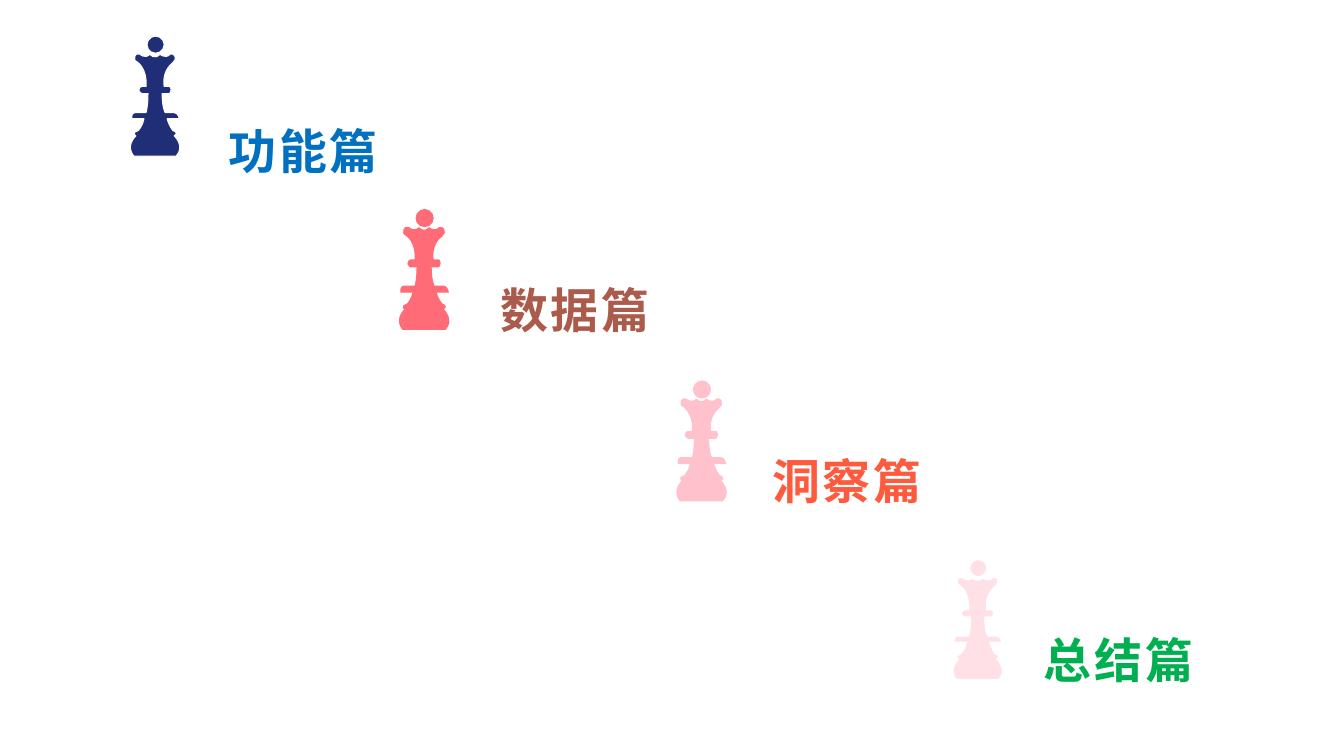
import pptx
import pptx.dml.color
import pptx.enum.shapes
import pptx.enum.text
import pptx.oxml.ns
import pptx.util
from lxml import etree

Cm = pptx.util.Cm
RGBColor = pptx.dml.color.RGBColor
qn = pptx.oxml.ns.qn

WHITE = RGBColor(0xFF, 0xFF, 0xFF)
NAVY = RGBColor(0x20, 0x2E, 0x77)
CORAL = RGBColor(0xFF, 0x6B, 0x77)
PINK = RGBColor(0xFF, 0xC1, 0xCC)
PALE_PINK = RGBColor(0xFF, 0xE0, 0xE6)
BLUE = RGBColor(0x00, 0x70, 0xC0)
BROWN = RGBColor(0xAB, 0x5B, 0x4B)
ORANGE = RGBColor(0xFE, 0x5A, 0x3E)
GREEN = RGBColor(0x00, 0xB0, 0x50)

FONT = "Noto Sans CJK SC"
FONT_FORMAT = {"name": FONT, "size": pptx.util.Pt(34.2), "bold": True}
FRAME_FORMAT = {
    "margin_left": 0, "margin_top": 0, "margin_right": 0, "margin_bottom": 0,
    "word_wrap": True, "vertical_anchor": pptx.enum.text.MSO_ANCHOR.MIDDLE,
}

# Label, label colour, piece fill, piece line, piece left and top (cm), line spacing
CHAPTERS = [
    ("功能篇", BLUE, NAVY, WHITE, 3.3, 0.91, 1.5),
    ("数据篇", BROWN, CORAL, CORAL, 10.08, 5.28, 1.0),
    ("洞察篇", ORANGE, PINK, PINK, 17.07, 9.6, 1.0),
    ("总结篇", GREEN, PALE_PINK, WHITE, 24.03, 14.1, 1.0),
]
LABEL_LEFT, LABEL_STEP, LABEL_DROP = 5.28, 6.85, 1.56

# Chess queen body: one point is a line, three points are a Bézier curve
UNIT = Cm(0.0254)
BODY_START = (39, 18)
BODY_SEGMENTS = [
    [(39, 18), (44, 16), (44, 23)],
    [(44, 23), (43, 25), (41, 27)],
    [(38, 29), (31, 37), (33, 50)],
    [(38, 50)],
    [(38, 50), (40, 50), (40, 53)],
    [(40, 56), (38, 57), (38, 57)],
    [(31, 57)],
    [(31, 71), (34, 76), (34, 76)],
    [(43, 76)],
    [(47, 76), (48, 82), (48, 82)],
    [(36, 82)],
    [(36, 82), (37, 88), (42, 94)],
    [(42, 94), (48, 95), (43, 99)],
    [(43, 99), (54, 109), (45, 119)],
    [(3, 119)],
    [(3, 119), (-6, 110), (5, 99)],
    [(5, 99), (0, 96), (7, 94)],
    [(7, 94), (12, 89), (13, 82)],
    [(1, 82)],
    [(1, 82), (0, 76), (4, 76)],
    [(15, 76)],
    [(15, 76), (17, 70), (17, 57)],
    [(11, 57)],
    [(11, 57), (8, 56), (8, 54)],
    [(8, 50), (11, 50), (11, 50)],
    [(15, 50)],
    [(15, 50), (17, 36), (8, 27)],
    [(4, 24)],
    [(4, 24), (2, 16), (9, 18)],
    [(9, 18), (14, 23), (19, 18)],
    [(19, 18), (23, 24), (29, 18)],
    [(29, 18), (34, 23), (39, 18)],
]


def apply_format(target, values):
    for name, value in values.items():
        setattr(target, name, value)


def paint(shape, fill_color, line_color):
    shape.shadow.inherit = False
    shape.fill.solid()
    shape.fill.fore_color.rgb = fill_color
    shape.line.color.rgb = line_color
    shape.line.width = pptx.util.Pt(0.75)


def add_body(group, left, top):
    def place(point):
        return left + point[0] * UNIT, top + point[1] * UNIT

    builder = group.shapes.build_freeform(*place(BODY_START))
    builder.add_line_segments([place(segment[-1]) for segment in BODY_SEGMENTS])
    body = builder.convert_to_shape()

    # Turn the straight segments with control points into curves
    lines = list(body._element.iter(qn("a:lnTo")))
    for line, segment in zip(lines, BODY_SEGMENTS):
        if len(segment) == 3:
            line.tag = qn("a:cubicBezTo")
            for position, control in enumerate(segment[:2]):
                x, y = place(control)
                line.insert(position, etree.Element(
                    qn("a:pt"), x=str(x - body.left), y=str(y - body.top)))
    return body


def add_queen(slide, left, top, fill_color, line_color):
    group = slide.shapes.add_group_shape()
    head = group.shapes.add_shape(
        pptx.enum.shapes.MSO_SHAPE.OVAL, left + 16 * UNIT, top, 17 * UNIT, 17 * UNIT)
    for shape in (head, add_body(group, left, top)):
        paint(shape, fill_color, line_color)


def add_label(slide, text, left, top, color, line_spacing):
    box = slide.shapes.add_textbox(left, top, Cm(4.72), Cm(1.9))
    apply_format(box.text_frame, FRAME_FORMAT)
    paragraph = box.text_frame.paragraphs[0]
    paragraph.alignment = pptx.enum.text.PP_ALIGN.CENTER
    paragraph.line_spacing = line_spacing
    run = paragraph.add_run()
    run.text = text
    apply_format(run.font, FONT_FORMAT)
    run.font.color.rgb = color
    # Letter spacing and East Asian font
    properties = run._r.get_or_add_rPr()
    properties.set("spc", "200")
    latin = properties.find(qn("a:latin"))
    latin.addnext(etree.Element(qn("a:ea"), typeface=FONT))


def main():
    presentation = pptx.Presentation()
    presentation.slide_width = Cm(33.87)
    presentation.slide_height = Cm(19.05)
    slide = presentation.slides.add_slide(presentation.slide_layouts[6])

    # Descending steps of chess queens and chapter names
    for index, chapter in enumerate(CHAPTERS):
        text, color, fill_color, line_color, left, top, line_spacing = chapter
        add_queen(slide, Cm(left), Cm(top), fill_color, line_color)
        add_label(slide, text, Cm(LABEL_LEFT + index * LABEL_STEP),
                  Cm(top + LABEL_DROP), color, line_spacing)

    presentation.save("out.pptx")


if __name__ == "__main__":
    main()
